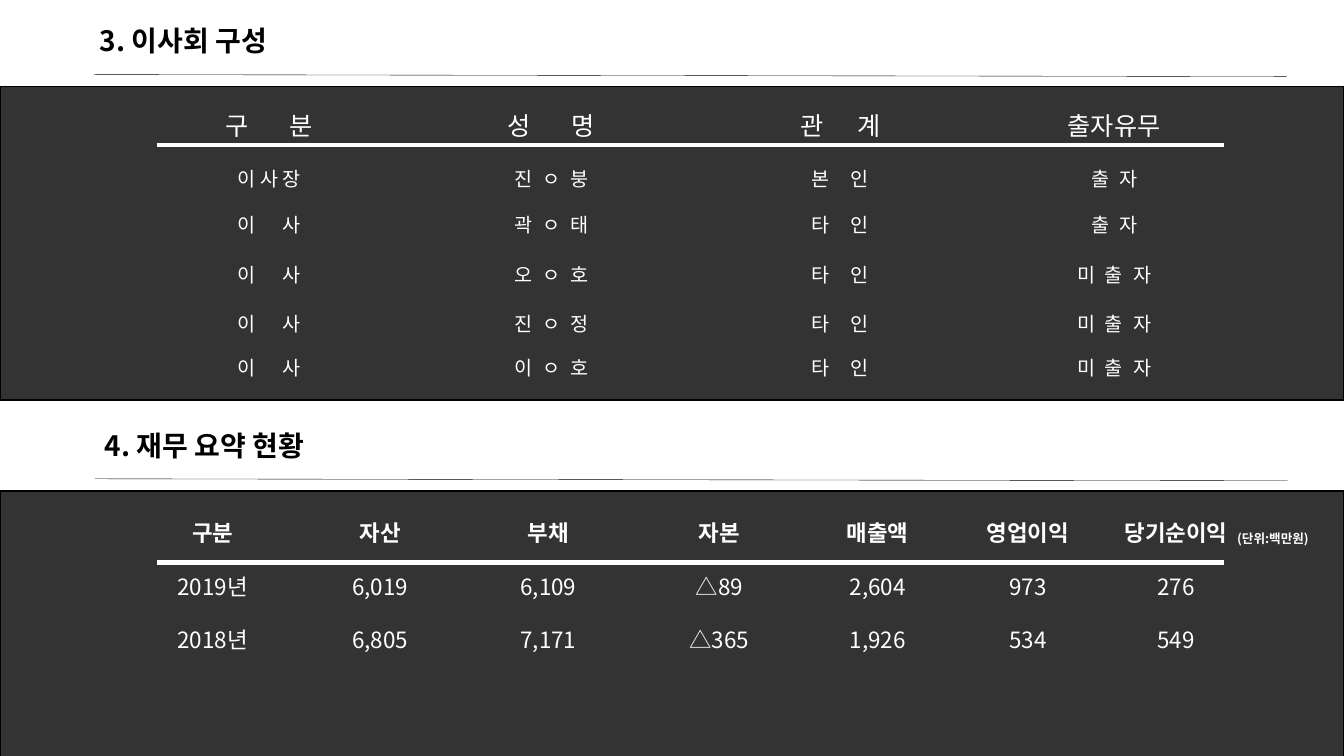
from dataclasses import dataclass

from lxml import etree
from pptx import Presentation
from pptx.dml.color import RGBColor
from pptx.enum.shapes import MSO_CONNECTOR, MSO_SHAPE
from pptx.enum.text import MSO_ANCHOR, MSO_AUTO_SIZE, PP_ALIGN
from pptx.oxml.ns import qn
from pptx.util import Inches, Pt

LINE, RECT = MSO_CONNECTOR.STRAIGHT, MSO_SHAPE.RECTANGLE
TOP, NO_FIT = MSO_ANCHOR.TOP, MSO_AUTO_SIZE.NONE
LEFT, CENTER = PP_ALIGN.LEFT, PP_ALIGN.CENTER
BLACK = RGBColor(0x00, 0x00, 0x00)
WHITE = RGBColor(0xFF, 0xFF, 0xFF)
FONT = "Noto Sans CJK KR"
PANEL_OPACITY = 80
SPACE_WIDTH = 0.28  # width of a space, in ems


@dataclass
class Label:
    text: str
    x: float
    y: float
    w: float
    h: float = 0.43
    size: float = 16
    bold: bool = False
    color: RGBColor = WHITE
    align: PP_ALIGN = CENTER
    inset: float = 0
    line_spacing: float = 1.0
    gap: int = 1  # width of each word gap, in spaces


@dataclass
class Rule:
    x1: float
    y1: float
    x2: float
    y2: float
    width: float
    color: RGBColor


@dataclass
class Panel:
    y: float
    h: float


PANELS = [Panel(4.87, 2.64), Panel(0.86, 3.11)]
RULES = [
    Rule(0.93, 0.74, 12.76, 0.76, 0.25, BLACK),
    Rule(0.94, 4.75, 12.77, 4.77, 0.25, BLACK),
    Rule(1.56, 1.44, 12.14, 1.44, 3, WHITE),
    Rule(1.56, 5.58, 12.14, 5.58, 3, WHITE),
]
HEADING = {"h": 0.43, "size": 20, "bold": True, "color": BLACK, "align": LEFT, "inset": 0.08}
TITLE = Label("3. 이사회 구성", 0.91, 0.23, 11.93, **HEADING)
SUBTITLE = Label("4. 재무 요약 현황", 0.96, 4.25, 11.8, **HEADING)
UNIT = Label("(단위:백만원)", 11.88, 5.27, 1.49, size=9, bold=True)

# Board members: column (left, width), row tops and word gaps
BOARD_COLUMNS = [(1.44, 2.46), (4.2, 2.54), (7, 2.67), (9.87, 2.36)]
BOARD_ROWS = [
    (0.94, ["구 분", "성 명", "관 계", "출자유무"]),
    (1.54, ["이 사 장", "진 ㅇ 붕", "본 인", "출 자"]),
    (2, ["이 사", "곽 ㅇ 태", "타 인", "출 자"]),
    (2.49, ["이 사", "오 ㅇ 호", "타 인", "미 출 자"]),
    (2.98, ["이 사", "진 ㅇ 정", "타 인", "미 출 자"]),
    (3.41, ["이 사", "이 ㅇ 호", "타 인", "미 출 자"]),
]
WORD_GAPS = {"구 분": 6, "성 명": 6, "관 계": 5, "출자유무": 1,
             "이 사 장": 1, "이 사": 5, "본 인": 4, "타 인": 4}

# Financial summary: column (left, width) and row tops
FINANCE_COLUMNS = [(1.33, 1.56), (2.99, 1.56), (4.66, 1.56), (6.37, 1.53),
                   (8.04, 1.33), (9.53, 1.33), (11, 1.33)]
FINANCE_ROWS = [
    (5.15, ["구분", "자산", "부채", "자본", "매출액", "영업이익", "당기순이익"]),
    (5.69, ["2019년", "6,019", "6,109", "△89", "2,604", "973", "276"]),
    (6.21, ["2018년", "6,805", "7,171", "△365", "1,926", "534", "549"]),
]


def add_panel(slide, panel: Panel) -> None:
    sp = slide.shapes.add_shape(RECT, 0, Inches(panel.y), Inches(13.33), Inches(panel.h))
    sp.shadow.inherit = False
    sp.fill.solid()
    sp.fill.fore_color.rgb = BLACK
    color = sp.fill._xPr.find(qn("a:solidFill"))[0]
    etree.SubElement(color, qn("a:alpha")).set("val", str(PANEL_OPACITY * 1000))
    sp.line.color.rgb = BLACK
    sp.line.width = Pt(1)


def add_rule(slide, rule: Rule) -> None:
    ends = [Inches(v) for v in (rule.x1, rule.y1, rule.x2, rule.y2)]
    cxn = slide.shapes.add_connector(LINE, *ends)
    cxn.line.color.rgb = rule.color
    cxn.line.width = Pt(rule.width)
    etree.SubElement(cxn._element.spPr, qn("a:effectLst"))


def add_run(p, text: str, label: Label, spacing: float = 0) -> None:
    r = p.add_run()
    r.text = text
    r.font.color.rgb = label.color
    for name, value in {"name": FONT, "size": Pt(label.size), "bold": label.bold}.items():
        setattr(r.font, name, value)
    rPr = r._r.get_or_add_rPr()
    etree.SubElement(rPr, qn("a:ea")).set("typeface", FONT)
    if spacing:
        rPr.set("spc", str(round(spacing * 100)))


def write_label(sp, label: Label) -> None:
    box = {"left": label.x, "top": label.y, "width": label.w, "height": label.h}
    for name, value in box.items():
        setattr(sp, name, Inches(value))
    tf = sp.text_frame
    frame = {"word_wrap": True, "auto_size": NO_FIT, "vertical_anchor": TOP,
             "margin_left": Inches(label.inset), "margin_right": Inches(label.inset),
             "margin_top": 0, "margin_bottom": 0}
    for name, value in frame.items():
        setattr(tf, name, value)
    p = tf.paragraphs[0]
    paragraph = {"alignment": label.align, "line_spacing": label.line_spacing,
                 "space_before": Pt(0)}
    for name, value in paragraph.items():
        setattr(p, name, value)
    if label.gap == 1:
        add_run(p, label.text, label)
    else:
        # Letter spacing widens the gaps; the last letter stays plain to keep the centre
        spacing = (label.gap - 1) * SPACE_WIDTH * label.size / 2
        add_run(p, label.text[:-1], label, spacing)
        add_run(p, label.text[-1], label)


def add_label(slide, label: Label) -> None:
    write_label(slide.shapes.add_textbox(0, 0, 0, 0), label)


def main() -> None:
    prs = Presentation()
    prs.slide_width, prs.slide_height = Inches(13.33), Inches(7.5)
    slide = prs.slides.add_slide(prs.slide_layouts[5])

    # Panels and headings
    for panel in PANELS:
        add_panel(slide, panel)
    write_label(slide.shapes.title, TITLE)
    add_label(slide, SUBTITLE)

    # Board members
    for i, (y, texts) in enumerate(BOARD_ROWS):
        for (x, w), text in zip(BOARD_COLUMNS, texts):
            add_label(slide, Label(text, x, y, w, h=0.41, size=14 if i else 18,
                                   line_spacing=1.5, gap=WORD_GAPS.get(text, 2)))

    # Financial summary
    for i, (y, texts) in enumerate(FINANCE_ROWS):
        for (x, w), text in zip(FINANCE_COLUMNS, texts):
            add_label(slide, Label(text, x, y, w, bold=i == 0))
    add_label(slide, UNIT)

    # Rules
    for rule in RULES:
        add_rule(slide, rule)

    prs.save("out.pptx")


if __name__ == "__main__":
    main()
